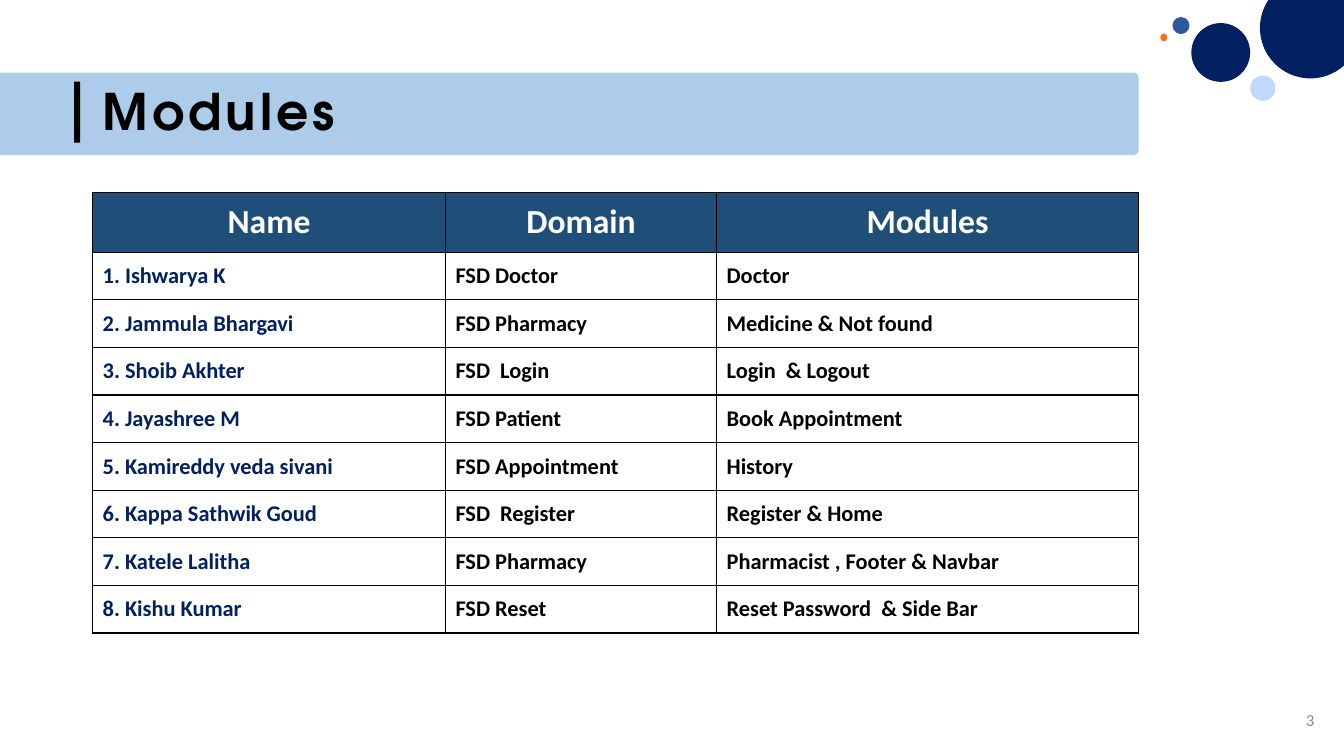
import math

from lxml import etree
from pptx import Presentation
from pptx.dml import color
from pptx.enum import shapes, text
from pptx.oxml import ns
from pptx.util import Pt

NAVY, BLACK, WHITE, HEADER_BLUE = "002060", "000000", "FFFFFF", "1F4E79"
PAGE_WIDTH, PAGE_HEIGHT = 960, 540
CENTER, LEFT, RIGHT = text.PP_ALIGN.CENTER, text.PP_ALIGN.LEFT, text.PP_ALIGN.RIGHT
RECTANGLE = shapes.MSO_SHAPE.RECTANGLE
ROUNDED = shapes.MSO_SHAPE.ROUNDED_RECTANGLE
OVAL = shapes.MSO_SHAPE.OVAL

HEADINGS = ("Name", "Domain", "Modules")
MEMBERS = (
    ("Ishwarya K", "FSD Doctor", "Doctor"),
    ("Jammula Bhargavi", "FSD Pharmacy", "Medicine & Not found"),
    ("Shoib Akhter", "FSD  Login", "Login  & Logout"),
    ("Jayashree M", "FSD Patient", "Book Appointment"),
    ("Kamireddy veda sivani", "FSD Appointment", "History"),
    ("Kappa Sathwik Goud", "FSD  Register", "Register & Home"),
    ("Katele Lalitha", "FSD Pharmacy", "Pharmacist , Footer & Navbar"),
    ("Kishu Kumar", "FSD Reset", "Reset Password  & Side Bar"),
)
COLUMN_WIDTHS = (252, 193.7, 301.3)
HEADER_HEIGHT, ROW_HEIGHT = 42.5, 34


def rgb(value):
    return color.RGBColor.from_string(value)


def paint(shape, fill, opacity=100, line=None):
    shape.shadow.inherit = False
    shape.fill.solid()
    shape.fill.fore_color.rgb = rgb(fill)
    if opacity < 100:
        tint = shape._element.spPr.find(".//" + ns.qn("a:srgbClr"))
        etree.SubElement(tint, ns.qn("a:alpha"), val=str(opacity * 1000))
    if line:
        shape.line.color.rgb = rgb(line)
        shape.line.width = Pt(1.5)
    else:
        shape.line.fill.background()


def add_block(page, kind, left, top, width, height, fill, **look):
    shape = page.shapes.add_shape(kind, Pt(left), Pt(top), Pt(width), Pt(height))
    paint(shape, fill, **look)
    return shape


def write(frame, words, size, ink, font="Calibri", bold=False, align=LEFT,
          line_spacing=None, tracking=None):
    frame.word_wrap = True
    para = frame.paragraphs[0]
    para.alignment = align
    para.line_spacing = line_spacing
    span = para.add_run()
    span.text = words
    span.font.name = font
    span.font.size = Pt(size)
    span.font.bold = bold
    span.font.color.rgb = rgb(ink)
    if tracking:
        span.font._element.set("spc", str(tracking * 100))


def add_label(page, words, left, top, width, height, **style):
    box = page.shapes.add_textbox(Pt(left), Pt(top), Pt(width), Pt(height))
    box.text_frame.vertical_anchor = text.MSO_ANCHOR.MIDDLE
    write(box.text_frame, words, **style)


def add_corner_circle(page, center_x, center_y, radius):
    start = math.pi + math.asin(center_y / radius)
    end = math.acos((PAGE_WIDTH - center_x) / radius)
    steps = 60
    angles = [start + (end - start) * step / steps for step in range(steps + 1)]
    points = [(Pt(center_x + radius * math.cos(angle)),
               Pt(center_y + radius * math.sin(angle))) for angle in angles]
    builder = page.shapes.build_freeform(*points[0])
    builder.add_line_segments(points[1:] + [(Pt(PAGE_WIDTH), 0)], close=True)
    paint(builder.convert_to_shape(), NAVY)


def add_borders(cell):
    properties = cell._tc.get_or_add_tcPr()
    for side in ("lnL", "lnR", "lnT", "lnB"):
        line = etree.SubElement(properties, ns.qn("a:" + side), w=str(Pt(1)))
        fill = etree.SubElement(line, ns.qn("a:solidFill"))
        etree.SubElement(fill, ns.qn("a:srgbClr"), val=BLACK)


def fill_cell(cell, words, fill=None, **style):
    add_borders(cell)
    if fill:
        cell.fill.solid()
        cell.fill.fore_color.rgb = rgb(fill)
    else:
        cell.fill.background()
    cell.vertical_anchor = text.MSO_ANCHOR.MIDDLE
    write(cell.text_frame, words, bold=True, **style)


def add_member_table(page, left, top):
    height = HEADER_HEIGHT + ROW_HEIGHT * len(MEMBERS)
    table = page.shapes.add_table(
        len(MEMBERS) + 1, len(HEADINGS), Pt(left), Pt(top),
        Pt(sum(COLUMN_WIDTHS)), Pt(height)).table
    table.horz_banding = False
    for column, width in zip(table.columns, COLUMN_WIDTHS):
        column.width = Pt(width)
    for index, row in enumerate(table.rows):
        row.height = Pt(ROW_HEIGHT if index else HEADER_HEIGHT)
    for column, heading in enumerate(HEADINGS):
        fill_cell(table.cell(0, column), heading, fill=HEADER_BLUE,
                  size=24, ink=WHITE, align=CENTER)
    for number, (name, domain, module) in enumerate(MEMBERS, 1):
        for column, words in enumerate((f"{number}. {name}", domain, module)):
            fill_cell(table.cell(number, column), words, size=16,
                      ink=BLACK if column else NAVY)


def main():
    deck = Presentation()
    deck.slide_width, deck.slide_height = Pt(PAGE_WIDTH), Pt(PAGE_HEIGHT)
    page = deck.slides.add_slide(deck.slide_layouts[6])

    banner = add_block(page, ROUNDED, -16.6, 51.8, 829.9, 59, "5B9BD5", opacity=50)
    banner.adjustments[0] = 0.063
    add_block(page, RECTANGLE, 53, 58.3, 4.3, 43.7, BLACK)

    add_corner_circle(page, 936, 20, 36)
    add_block(page, OVAL, 851, 16.5, 42, 42, NAVY)
    add_block(page, OVAL, 893, 54, 18, 18, "85B2F6", opacity=50)
    add_block(page, OVAL, 828, 23.2, 6.5, 7.2, "FA6F1A", line=WHITE)
    add_block(page, OVAL, 837.5, 12.2, 12.2, 12.2, "2C599D")

    add_label(page, "3", 730, 499.7, 216, 28.8, size=12, ink="8C8C8C", align=RIGHT)
    add_label(page, "Modules", 66.2, 51.8, 738.7, 59, size=36, ink=BLACK,
              font="TeX Gyre Adventor", bold=True, line_spacing=0.9, tracking=3)
    add_member_table(page, 66.2, 137.7)
    deck.save("out.pptx")


if __name__ == "__main__":
    main()
